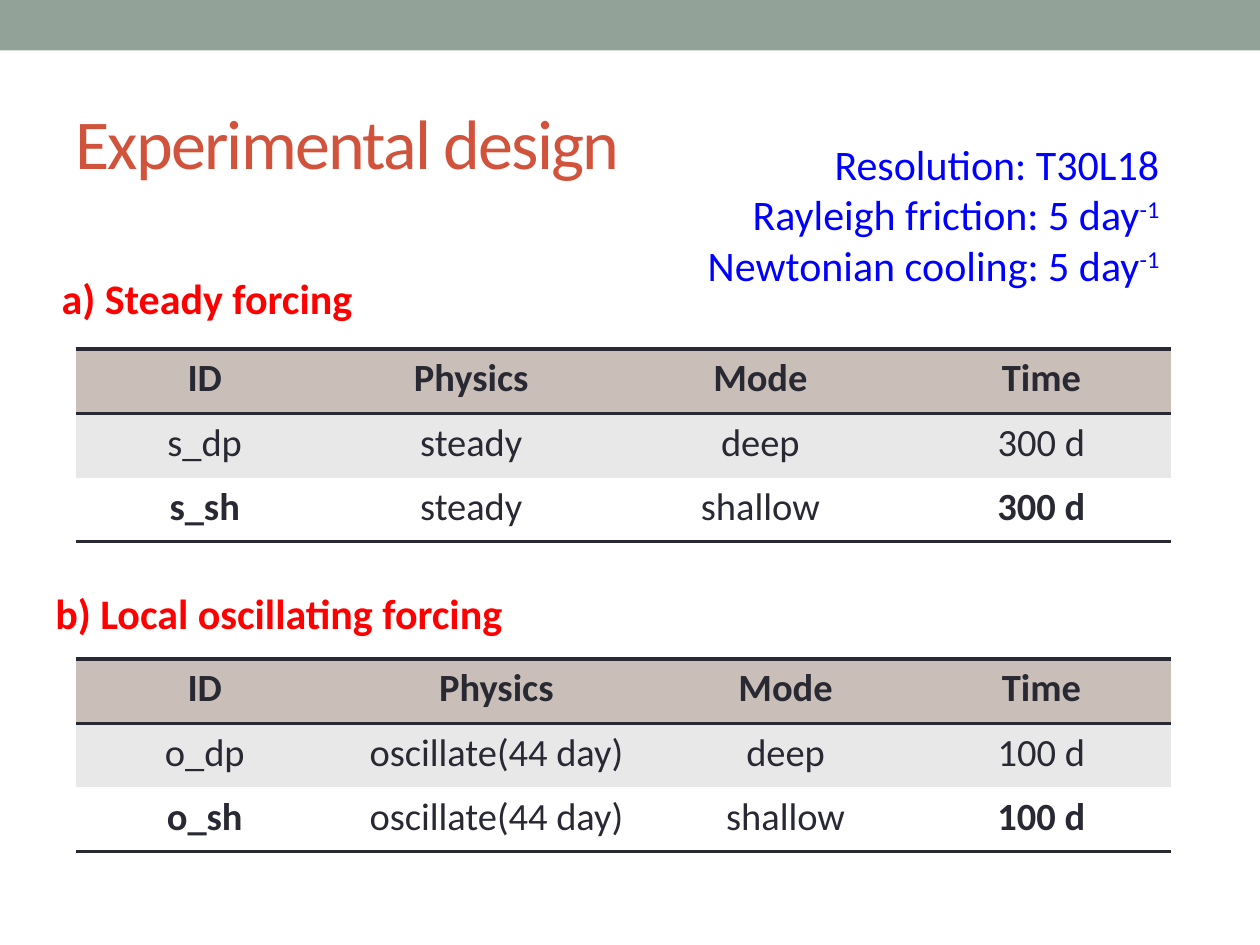
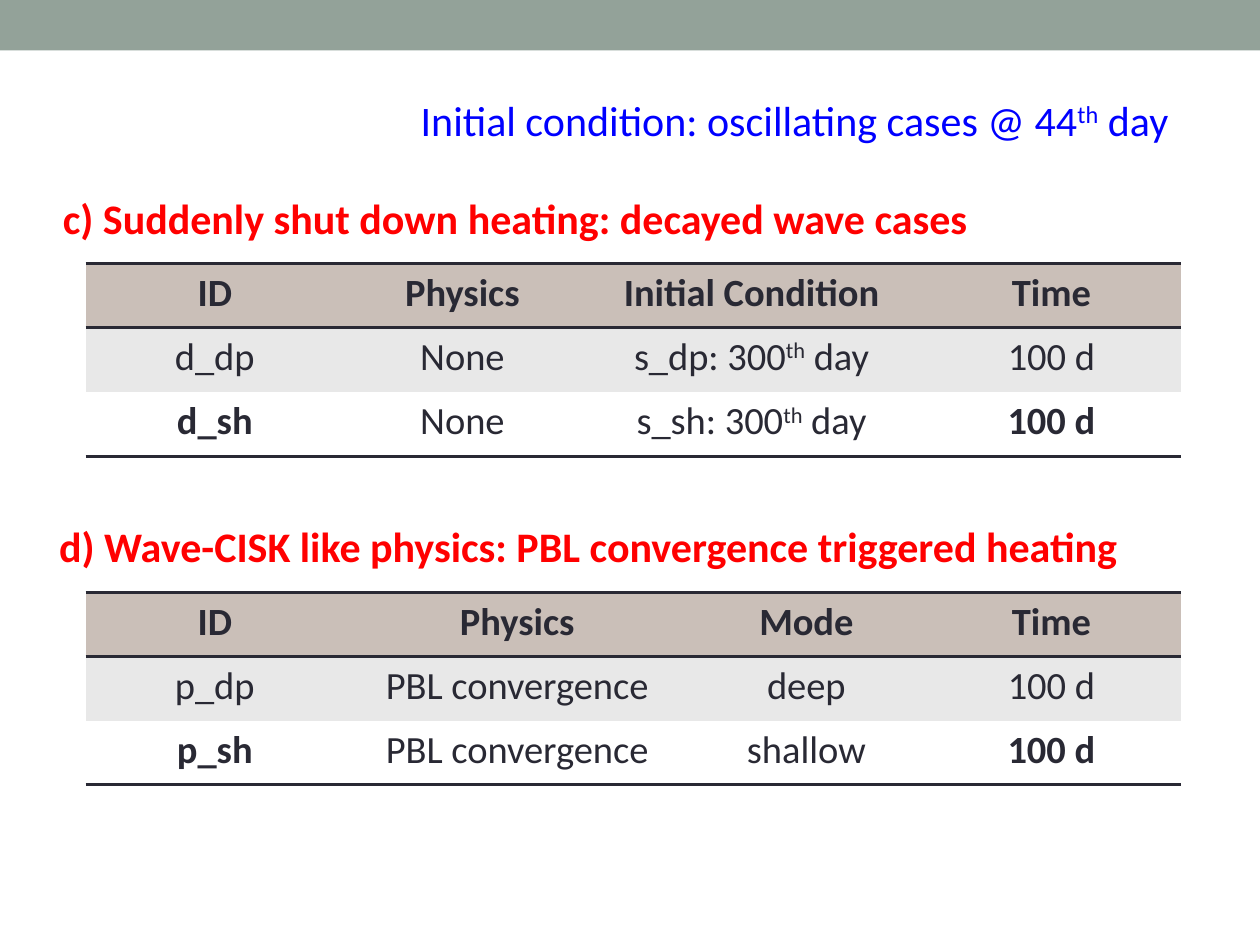
from lxml.etree import SubElement
from pptx import Presentation
from pptx.dml.color import RGBColor
from pptx.enum.shapes import MSO_SHAPE
from pptx.enum.text import MSO_ANCHOR, PP_ALIGN
from pptx.oxml import parse_xml
from pptx.oxml.ns import nsdecls, qn
from pptx.util import Inches, Pt

FONT = "Calibri"
COLORS = {
    "band": "93A299",
    "title": "D2533C",
    "label": "FF0000",
    "note": "0000FF",
    "ink": "292934",
    "head": "CABFB8",
    "odd": "E8E8E8",
    "even": "FFFFFF",
}
WIDE, HIGH = 100, 75
UNIT = Inches(0.1)
EDGE = 20.5
SPAN = 86.9
ROW = 5.1
RULES = {0: "TB", 1: "T", 2: "B"}
FILLS = ("head", "odd", "even")
BOLD = ({0, 1, 2, 3}, set(), {0, 3})


def grid(count):
    return int(count * UNIT)


def tint(name):
    return RGBColor.from_string(COLORS[name])


def write(par, text, size, color, bold=False, align=PP_ALIGN.LEFT, space=None):
    par.alignment = align
    for index, part in enumerate(text.split("^")):
        run = par.add_run()
        run.text = part
        font = run.font
        font.name, font.size, font.bold = FONT, Pt(size), bold
        font.color.rgb = tint(color)
        props = run._r.get_or_add_rPr()
        if index % 2:
            props.set("baseline", "30000")
        if space is not None:
            props.set("spc", str(space))


def add_band(slide):
    band = slide.shapes.add_shape(MSO_SHAPE.RECTANGLE, 0, 0, grid(WIDE), grid(4))
    band.shadow.inherit = False
    band.fill.solid()
    band.fill.fore_color.rgb = tint("band")
    band.line.fill.background()


def add_text(slide, place, lines, size, color, anchor=MSO_ANCHOR.TOP, **style):
    frame = slide.shapes.add_textbox(*map(grid, place)).text_frame
    frame.word_wrap = True
    frame.vertical_anchor = anchor
    for index, line in enumerate(lines):
        par = frame.add_paragraph() if index else frame.paragraphs[0]
        write(par, line, size, color, **style)


def add_title(slide, text):
    add_text(slide, (5, 5.8, 90, 10.8), [text], 40, "title",
             anchor=MSO_ANCHOR.MIDDLE, space=-100)


def add_label(slide, left, top, width, text):
    add_text(slide, (left, top, width, 5), [text], 24, "label", bold=True)


def add_note(slide, place, lines):
    add_text(slide, place, lines, 24, "note", align=PP_ALIGN.RIGHT)


def rule_cell(cell, sides):
    props = cell._tc.get_or_add_tcPr()
    for index, side in enumerate("LRTB"):
        line = parse_xml(f'<a:ln{side} {nsdecls("a")} w="{Pt(2)}"/>')
        if side in sides:
            fill = SubElement(line, qn("a:solidFill"))
            SubElement(fill, qn("a:srgbClr")).set("val", COLORS["ink"])
        else:
            SubElement(line, qn("a:noFill"))
        props.insert(index, line)


def add_grid(slide, left, top, second, rows):
    place = map(grid, (left, top, SPAN, ROW * len(rows)))
    table = slide.shapes.add_table(len(rows), len(rows[0]), *place).table
    widths = (EDGE, second, SPAN - 2 * EDGE - second, EDGE)
    for column, width in zip(table.columns, widths):
        column.width = grid(width)
    for y, row in enumerate(rows):
        table.rows[y].height = grid(ROW)
        for x, text in enumerate(row):
            cell = table.cell(y, x)
            cell.fill.solid()
            cell.fill.fore_color.rgb = tint(FILLS[y])
            rule_cell(cell, RULES[y])
            write(cell.text_frame.paragraphs[0], text, 22, "ink",
                  bold=x in BOLD[y], align=PP_ALIGN.CENTER)


def case_rows(code, physics, modes, time, third="Mode"):
    cases = [(f"{code}_{end}", physics, mode, time)
             for end, mode in zip(("dp", "sh"), modes)]
    return [("ID", "Physics", third, "Time"), *cases]


def add_slide(deck):
    slide = deck.slides.add_slide(deck.slide_layouts[6])
    add_band(slide)
    return slide


def main():
    deck = Presentation()
    deck.slide_width, deck.slide_height = grid(WIDE), grid(HIGH)
    modes = ("deep", "shallow")

    design = add_slide(deck)
    add_title(design, "Experimental design")
    add_note(design, (54.3, 10.5, 38.7, 13.1), [
        "Resolution: T30L18",
        "Rayleigh friction: 5 day^-1",
        "Newtonian cooling: 5 day^-1",
    ])
    add_label(design, 3.9, 21.1, 50.9, "a) Steady forcing")
    add_grid(design, 6, 27.7, 21.8, case_rows("s", "steady", modes, "300 d"))
    add_label(design, 3.4, 46.1, 50.9, "b) Local oscillating forcing")
    add_grid(design, 6, 52.3, 25.8,
             case_rows("o", "oscillate(44 day)", modes, "100 d"))

    start = add_slide(deck)
    add_note(start, (3.7, 7, 90, 5),
             ["Initial condition: oscillating cases @ 44^th^ day"])
    add_label(start, 4, 14.8, 80.8,
              "c) Suddenly shut down heating: decayed wave cases")
    origins = ("s_dp: 300^th^ day", "s_sh: 300^th^ day")
    add_grid(start, 6.8, 20.9, 18.8,
             case_rows("d", "None", origins, "100 d", "Initial Condition"))
    add_label(start, 3.7, 40.8, 89.1,
              "d) Wave-CISK like physics: PBL convergence triggered heating")
    add_grid(start, 6.8, 47, 27.5,
             case_rows("p", "PBL convergence", modes, "100 d"))

    deck.save("out.pptx")


if __name__ == "__main__":
    main()
